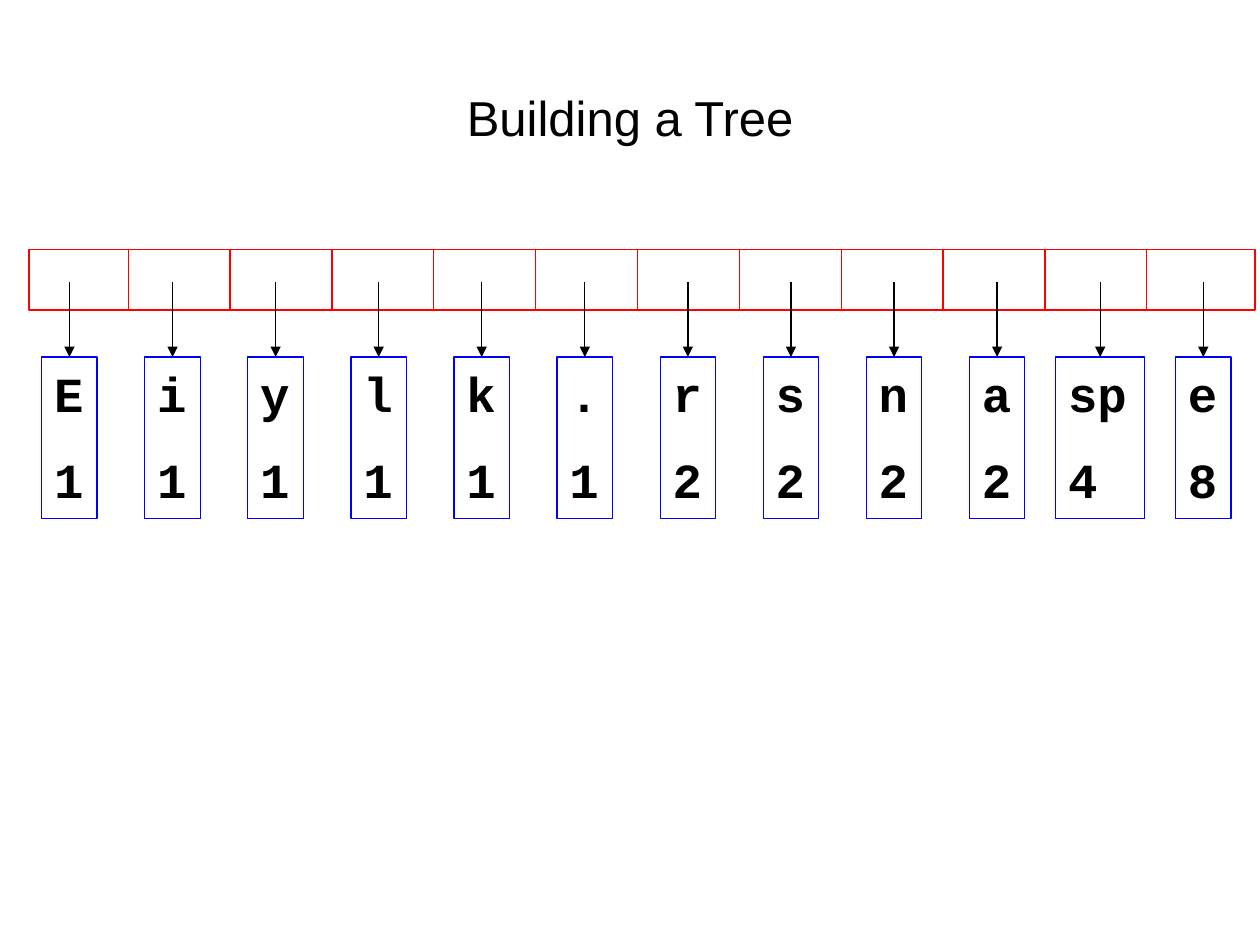
from lxml import etree
from pptx import Presentation
from pptx.dml.color import RGBColor
from pptx.enum.shapes import MSO_CONNECTOR, MSO_SHAPE
from pptx.enum.text import MSO_ANCHOR, MSO_AUTO_SIZE, PP_ALIGN
from pptx.oxml.ns import qn
from pptx.util import Pt

RECT = MSO_SHAPE.RECTANGLE
LINE = MSO_CONNECTOR.STRAIGHT
LEFT, CENTER = PP_ALIGN.LEFT, PP_ALIGN.CENTER
TOP, MIDDLE = MSO_ANCHOR.TOP, MSO_ANCHOR.MIDDLE
GROW = MSO_AUTO_SIZE.SHAPE_TO_FIT_TEXT

COLORS = {"ink": "000000", "queue": "FF0000", "node": "0000FF", "paper": "FFFFFF"}
TITLE = {"name": "Arial", "size": Pt(28), "bold": False}
CODE = {"name": "Courier New", "size": Pt(28), "bold": True}
NODES = [("E", 1), ("i", 1), ("y", 1), ("l", 1), ("k", 1), (".", 1),
         ("r", 2), ("s", 2), ("n", 2), ("a", 2), ("sp", 4), ("e", 8)]

ROW_LEFT, ROW_TOP, ROW_WIDTH, ROW_HEIGHT = 16.6, 142.6, 700.6, 34.6
CELL_LEFT, CELL_STEP = 73.3, 58.2
NODE_MID, NODE_STEP, NODE_TOP, NODE_HEIGHT = 39.7, 58.9, 204, 92.2
ARROW_TOP = 161.3


def color(key):
    return RGBColor.from_string(COLORS[key])


def assign(target, values):
    for key, value in values.items():
        setattr(target, key, value)


class Canvas:
    def __init__(self, slide, weight=0.75):
        self.slide = slide
        self.weight = Pt(weight)

    def text(self, para, words, style):
        run = para.add_run()
        run.text = words
        assign(run.font, style)
        run.font.color.rgb = color("ink")

    def stroke(self, item, key):
        item.line.color.rgb = color(key)
        item.line.width = self.weight

    def title(self, words, left, top, width, height):
        shape = self.slide.shapes.title
        assign(shape, {"left": Pt(left), "top": Pt(top),
                       "width": Pt(width), "height": Pt(height)})
        shape.text_frame.vertical_anchor = MIDDLE
        para = shape.text_frame.paragraphs[0]
        para.alignment = CENTER
        self.text(para, words, TITLE)

    def rect(self, left, top, width, height, edge, fill=None):
        shape = self.slide.shapes.add_shape(
            RECT, Pt(left), Pt(top), Pt(width), Pt(height))
        shape.shadow.inherit = False
        if fill:
            shape.fill.solid()
            shape.fill.fore_color.rgb = color(fill)
        else:
            shape.fill.background()
        self.stroke(shape, edge)
        return shape

    def line(self, x, top, bottom, key):
        item = self.slide.shapes.add_connector(
            LINE, Pt(x), Pt(top), Pt(x), Pt(bottom))
        self.stroke(item, key)
        etree.SubElement(item.element.spPr, qn("a:effectLst"))
        return item

    def arrow(self, x, top, node):
        """Point down at the top side of a node."""
        item = self.line(x, top, NODE_TOP, "ink")
        item.end_connect(node, 0)
        edge = item.element.spPr.find(qn("a:ln"))
        etree.SubElement(edge, qn("a:tailEnd"), type="triangle")

    def node(self, mid, char, count):
        """Draw a box with a character above its frequency."""
        width = 31.7 if len(char) == 1 else 51
        shape = self.rect(mid - width / 2, NODE_TOP, width, NODE_HEIGHT, "node")
        frame = shape.text_frame
        assign(frame, {"word_wrap": True, "vertical_anchor": TOP, "auto_size": GROW})
        rows = (frame.paragraphs[0], char, 6), (frame.add_paragraph(), str(count), 15.7)
        for para, words, gap in rows:
            assign(para, {"alignment": LEFT, "space_before": Pt(gap)})
            self.text(para, words, CODE)
        return shape


def main():
    deck = Presentation()
    assign(deck, {"slide_width": Pt(720), "slide_height": Pt(540)})
    canvas = Canvas(deck.slides.add_slide(deck.slide_layouts[5]))
    canvas.title("Building a Tree", 36, 21.6, 648, 90)

    canvas.rect(ROW_LEFT, ROW_TOP, ROW_WIDTH, ROW_HEIGHT, "queue", "paper")
    for i in range(len(NODES) - 1):
        canvas.line(CELL_LEFT + i * CELL_STEP, ROW_TOP, ROW_TOP + ROW_HEIGHT, "queue")

    for i, (char, count) in enumerate(NODES):
        mid = NODE_MID + i * NODE_STEP
        canvas.arrow(mid, ARROW_TOP, canvas.node(mid, char, count))

    deck.save("out.pptx")


if __name__ == "__main__":
    main()
